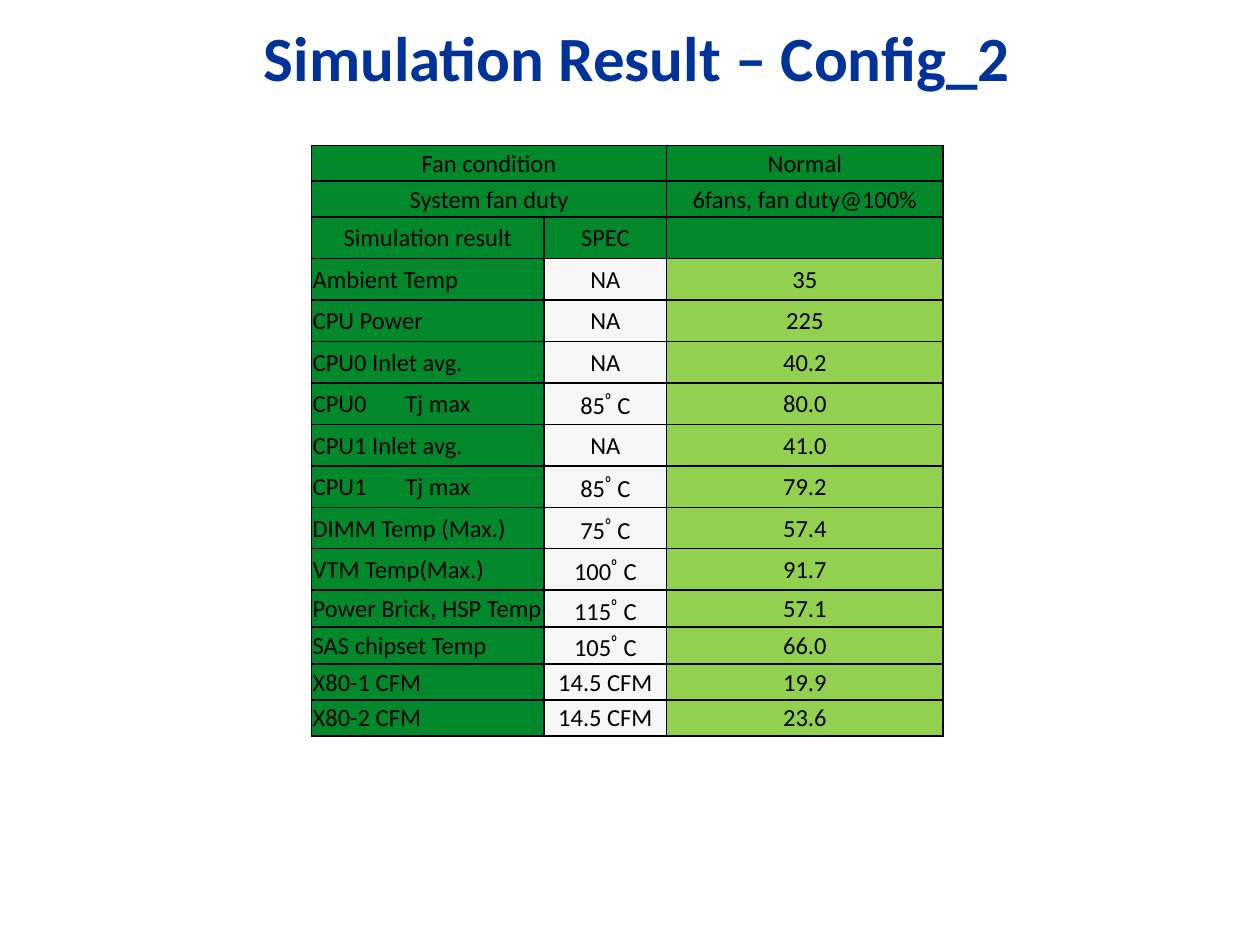
from lxml import etree
from pptx import Presentation
from pptx.dml.color import RGBColor
from pptx.enum import text
from pptx.oxml import ns
from pptx.util import Pt

GREEN, LIME, PALE = "00882B", "92D050", "F6F6F6"
LEFT, CENTER = text.PP_ALIGN.LEFT, text.PP_ALIGN.CENTER

HEADER = [
    ("Fan condition", "", "Normal"),
    ("System fan duty", "", "6fans, fan duty@100%"),
    ("Simulation result", "SPEC", ""),
]
RESULTS = [
    ("Ambient Temp", "NA", "35"),
    ("CPU Power", "NA", "225"),
    ("CPU0 Inlet avg.", "NA", "40.2"),
    ("CPU0\tTj max", "85ﾟC", "80.0"),
    ("CPU1 Inlet avg.", "NA", "41.0"),
    ("CPU1\tTj max", "85ﾟC", "79.2"),
    ("DIMM Temp (Max.)", "75ﾟC", "57.4"),
    ("VTM Temp(Max.)", "100ﾟC", "91.7"),
    ("Power Brick, HSP Temp", "115ﾟC", "57.1"),
    ("SAS chipset Temp", "105ﾟC", "66.0"),
    ("X80-1 CFM", "14.5 CFM", "19.9"),
    ("X80-2 CFM", "14.5 CFM", "23.6"),
]
COL_WIDTHS = [133, 70, 158]
ROW_HEIGHTS = [20.5] * 2 + [23.7] * 9 + [20.5] * 4


def color(value):
    return RGBColor.from_string(value)


class Deck:
    font = "Calibri"
    title_color = "003399"
    ink = "000000"

    def __init__(self, prs):
        self.prs = prs
        self.s = prs.slides.add_slide(prs.slide_layouts[5])

    def put_text(self, tf, content, size, ink, align, bold=False):
        tf.text = content
        p = tf.paragraphs[0]
        p.alignment = align
        for r in p.runs:
            r.font.name, r.font.size, r.font.bold = self.font, Pt(size), bold
            r.font.color.rgb = color(ink)
        return p

    def title(self, content, left, top, width, height):
        sp = self.s.shapes.title
        sp.left, sp.top, sp.width, sp.height = map(Pt, (left, top, width, height))
        tf = sp.text_frame
        tf.auto_size = text.MSO_AUTO_SIZE.NONE
        tf.vertical_anchor = text.MSO_ANCHOR.MIDDLE
        self.put_text(tf, content, 36, self.title_color, CENTER, bold=True)

    def table(self, left, top, widths, heights):
        gf = self.s.shapes.add_table(len(heights), len(widths), Pt(left), Pt(top),
                                     Pt(sum(widths)), Pt(sum(heights)))
        tbl = gf.table
        tbl.first_row = tbl.horz_banding = False
        for col, width in zip(tbl.columns, widths):
            col.width = Pt(width)
        for row, height in zip(tbl.rows, heights):
            row.height = Pt(height)
        return tbl

    def cell(self, cell, content, fill, align=CENTER):
        cell.margin_left = cell.margin_right = cell.margin_top = Pt(0.7)
        cell.margin_bottom = 0
        cell.vertical_anchor = text.MSO_ANCHOR.MIDDLE
        p = self.put_text(cell.text_frame, content, 14, self.ink, align)
        if "\t" in content:
            self.tab_stop(p, 53)
        self.borders(cell)
        cell.fill.solid()
        cell.fill.fore_color.rgb = color(fill)

    def tab_stop(self, p, pos):
        tabs = etree.SubElement(p._p.get_or_add_pPr(), ns.qn("a:tabLst"))
        etree.SubElement(tabs, ns.qn("a:tab"), pos=str(Pt(pos)), algn="l")

    def borders(self, cell):
        tc_pr = cell._tc.get_or_add_tcPr()
        for side in ("lnL", "lnR", "lnT", "lnB"):
            ln = etree.SubElement(tc_pr, ns.qn("a:" + side), w=str(Pt(1)))
            fill = etree.SubElement(ln, ns.qn("a:solidFill"))
            etree.SubElement(fill, ns.qn("a:srgbClr"), val=self.ink)


def main():
    prs = Presentation()
    prs.slide_width, prs.slide_height = Pt(720), Pt(540)
    deck = Deck(prs)
    deck.title("Simulation Result – Config_2", 8, 11, 712, 42)

    # Simulation results against the specification
    tbl = deck.table(178, 83, COL_WIDTHS, ROW_HEIGHTS)
    for i, row in enumerate(HEADER + RESULTS):
        is_header = i < len(HEADER)
        fills = [GREEN] * 3 if is_header else [GREEN, PALE, LIME]
        for j, (content, fill) in enumerate(zip(row, fills)):
            align = LEFT if j == 0 and not is_header else CENTER
            deck.cell(tbl.cell(i, j), content, fill, align)

    # The two fan rows share one label across the first two columns
    for i in range(2):
        tbl.cell(i, 0).merge(tbl.cell(i, 1))

    prs.save("out.pptx")


if __name__ == "__main__":
    main()
